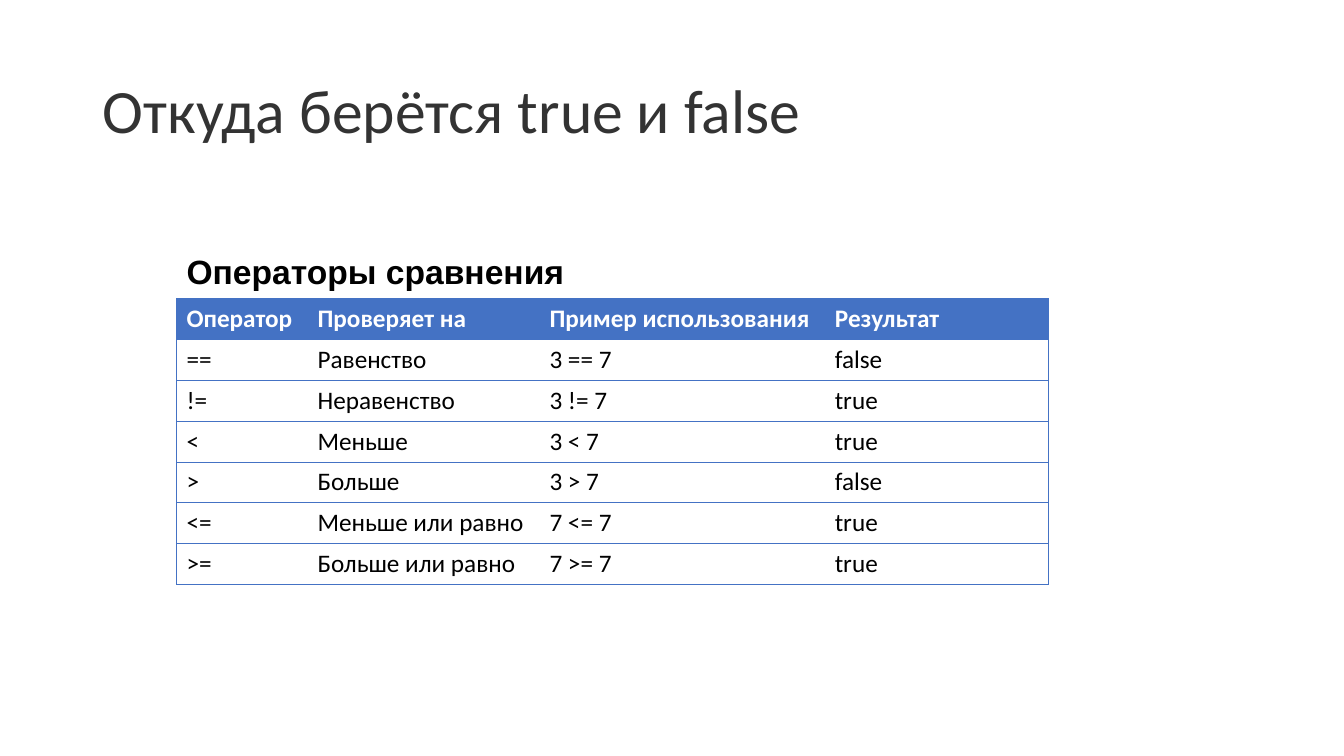
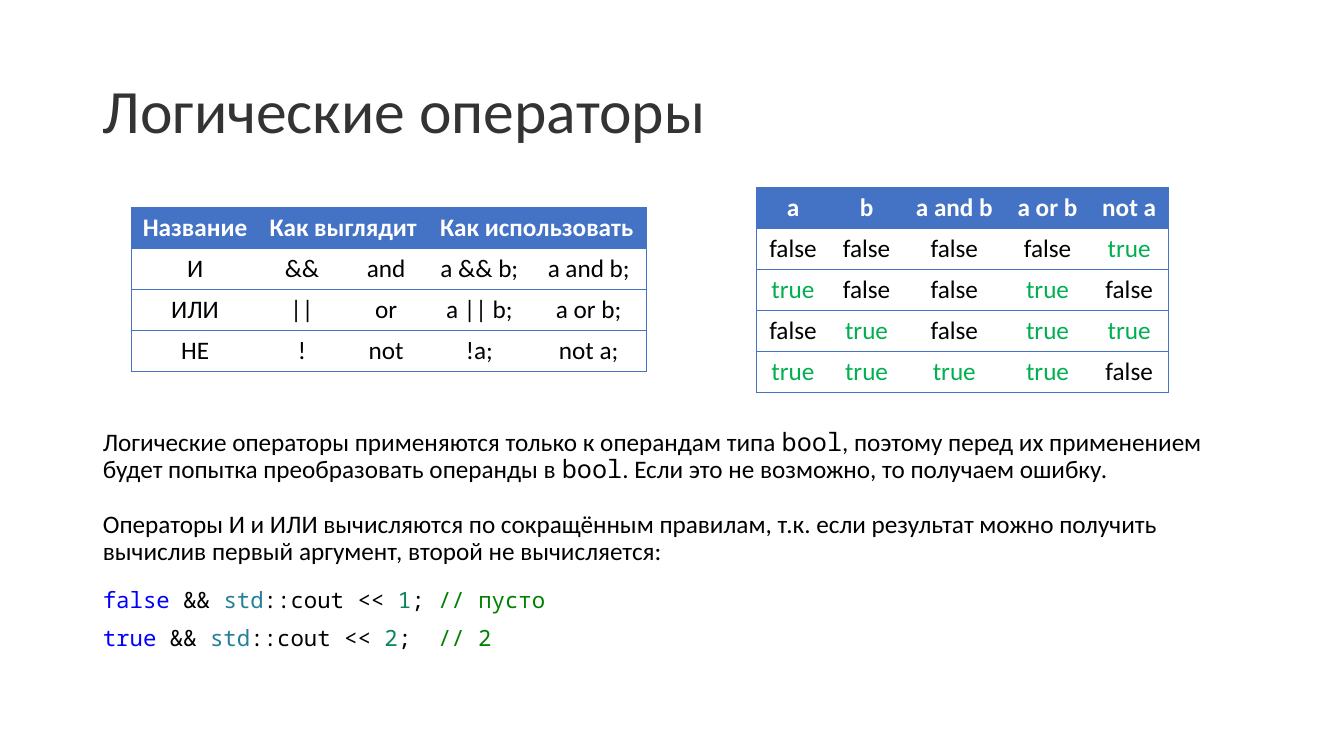
from lxml.etree import SubElement
from pptx import Presentation
from pptx.dml.color import RGBColor
from pptx.enum.text import MSO_ANCHOR as Anchor, MSO_AUTO_SIZE as AutoSize, PP_ALIGN as Align
from pptx.oxml.ns import qn
from pptx.util import Inches, Pt

WHITE = RGBColor(0xFF, 0xFF, 0xFF)
BLACK = RGBColor(0x00, 0x00, 0x00)
TITLE_GRAY = RGBColor(0x33, 0x33, 0x33)
TABLE_BLUE = RGBColor(0x44, 0x72, 0xC4)
TRUE_GREEN = RGBColor(0x00, 0xB0, 0x50)
KEYWORD = RGBColor(0x00, 0x00, 0xFF)
NAMESPACE = RGBColor(0x26, 0x7F, 0x99)
NUMBER = RGBColor(0x09, 0x86, 0x58)
COMMENT = RGBColor(0x00, 0x80, 0x00)

TEXT_FONT, HEADING_FONT, CODE_FONT = "Calibri", "Arial", "Noto Sans Mono"
NO_GRID_STYLE = "{2D5ABB26-0587-4C30-8999-92F81FD0307C}"
TITLE_AREA = (0.92, 0.4, 11.5, 1.45)

COMPARISON = {
    "at": (1.75, 2.96), "height": 2.84, "columns": (1.3, 2.3, 2.83, 2.22),
    "align": Align.LEFT, "true_color": BLACK,
    "rows": [
        ("Оператор", "Проверяет на", "Пример использования", "Результат"),
        ("==", "Равенство", "3 == 7", "false"),
        ("!=", "Неравенство", "3 != 7", "true"),
        ("<", "Меньше", "3 < 7", "true"),
        (">", "Больше", "3 > 7", "false"),
        ("<=", "Меньше или равно", "7 <= 7", "true"),
        (">=", "Больше или равно", "7 >= 7", "true"),
    ],
}
LOGIC = {
    "at": (1.3, 2.06), "height": 1.62, "columns": (1.27, 0.85, 0.82, 1.03, 1.14),
    "align": Align.CENTER, "true_color": BLACK,
    "rows": [
        ("Название", "Как выглядит", None, "Как использовать", None),
        ("И", "&&", "and", "a && b;", "a and b;"),
        ("ИЛИ", "||", "or", "a || b;", "a or b;"),
        ("НЕ", "!", "not", "!a;", "not a;"),
    ],
}
TRUTH = {
    "at": (7.5, 1.86), "height": 2.03, "columns": (0.73, 0.73, 1.01, 0.84, 0.78),
    "align": Align.CENTER, "true_color": TRUE_GREEN,
    "rows": [
        ("a", "b", "a and b", "a or b", "not a"),
        ("false", "false", "false", "false", "true"),
        ("true", "false", "false", "true", "false"),
        ("false", "true", "false", "true", "true"),
        ("true", "true", "true", "true", "false"),
    ],
}


def prose(*parts, before=0, after=0):
    spans = [(text, CODE_FONT if text == "bool" else TEXT_FONT, BLACK) for text in parts]
    return {"spans": spans, "size": 18, "spacing": 0.9, "before": before, "after": after}


def code(*parts):
    spans = [(text, CODE_FONT, color) for text, color in parts]
    return {"spans": spans, "size": 16, "spacing": 0.9, "before": 10, "after": 0}


def output_line(value, number, comment):
    return code((value, KEYWORD), (" && ", BLACK), ("std", NAMESPACE),
                ("::cout << ", BLACK), (number, NUMBER), (";", BLACK), (comment, COMMENT))


HEADING = {"spans": [("Операторы сравнения", HEADING_FONT, BLACK)],
           "size": 24, "spacing": 1.0, "before": 0, "after": 0, "bold": True}

SLIDES = [
    {"title": "Откуда берётся true и false",
     "body_at": (1.75, 2.44, 10.67, 0.5),
     "body": [HEADING],
     "tables": [COMPARISON]},
    {"title": "Логические операторы",
     "body_at": (0.92, 4.21, 11.5, 2.55),
     "body": [
         prose("Логические операторы применяются только к операндам типа ", "bool",
               ", поэтому перед их применением будет попытка преобразовать операнды в ",
               "bool", ". Если это не возможно, то получаем ошибку."),
         prose("Операторы И и ИЛИ вычисляются по сокращённым правилам, т.к. если результат "
               "можно получить вычислив первый аргумент, второй не вычисляется:",
               before=20, after=6),
         output_line("false", "1", " // пусто"),
         output_line("true", "2", "  // 2"),
     ],
     "tables": [LOGIC, TRUTH]},
]


def place(shape, area):
    shape.left, shape.top, shape.width, shape.height = map(Inches, area)


def set_font(font, name, size, color, bold=False):
    font.name, font.size, font.bold = name, Pt(size), bold
    font.color.rgb = color


def fill_title(title, text):
    place(title, TITLE_AREA)
    frame = title.text_frame
    frame.text = text
    frame.vertical_anchor = Anchor.MIDDLE
    para = frame.paragraphs[0]
    para.alignment, para.line_spacing = Align.LEFT, 0.9
    set_font(para.font, TEXT_FONT, 44, TITLE_GRAY)


def remove_bullet(para):
    properties = para._p.get_or_add_pPr()
    properties.set("marL", "0")
    properties.set("indent", "0")
    SubElement(properties, qn("a:buNone"))


def fill_body(body, area, items):
    place(body, area)
    frame = body.text_frame
    frame.auto_size = AutoSize.NONE
    for index, item in enumerate(items):
        para = frame.add_paragraph() if index else frame.paragraphs[0]
        para.line_spacing = item["spacing"]
        para.space_before, para.space_after = Pt(item["before"]), Pt(item["after"])
        remove_bullet(para)
        for text, name, color in item["spans"]:
            span = para.add_run()
            span.text = text
            set_font(span.font, name, item["size"], color, item.get("bold", False))


def add_border(cell, side):
    line = SubElement(cell._tc.get_or_add_tcPr(), qn(f"a:ln{side}"), w=str(Pt(0.5)))
    fill = SubElement(line, qn("a:solidFill"))
    SubElement(fill, qn("a:srgbClr"), val=str(TABLE_BLUE))


def format_cell(cell, text, header, sides, data):
    cell.vertical_anchor = Anchor.MIDDLE
    for side in sides:
        add_border(cell, side)
    if header:
        cell.fill.solid()
        cell.fill.fore_color.rgb = TABLE_BLUE
    else:
        cell.fill.background()
    if text is None:
        return
    cell.text = text
    para = cell.text_frame.paragraphs[0]
    para.alignment = data["align"]
    color = WHITE if header else data["true_color"] if text == "true" else BLACK
    set_font(para.font, TEXT_FONT, 18, color, header)


def add_grid(slide, data):
    rows, columns = data["rows"], data["columns"]
    left, top = data["at"]
    area = (left, top, sum(columns), data["height"])
    table = slide.shapes.add_table(len(rows), len(columns), *map(Inches, area)).table
    table.horz_banding = False
    table._tbl.tblPr.find(qn("a:tableStyleId")).text = NO_GRID_STYLE
    for column, width in zip(table.columns, columns):
        column.width = Inches(width)
    for r, row in enumerate(rows):
        for c, text in enumerate(row):
            cell = table.cell(r, c)
            spans_next = row[c + 1:c + 2] == (None,)
            if spans_next:
                cell.merge(table.cell(r, c + 1))
            at_right = c + spans_next == len(columns) - 1
            sides = "L" * (c == 0) + "R" * at_right + "TB"
            format_cell(cell, text, r == 0, sides, data)


def main():
    deck = Presentation()
    deck.slide_width, deck.slide_height = Inches(13.33), Inches(7.5)
    for content in SLIDES:
        slide = deck.slides.add_slide(deck.slide_layouts[1])
        fill_title(slide.shapes.title, content["title"])
        fill_body(slide.placeholders[1], content["body_at"], content["body"])
        for data in content["tables"]:
            add_grid(slide, data)
    deck.save("out.pptx")


if __name__ == "__main__":
    main()
